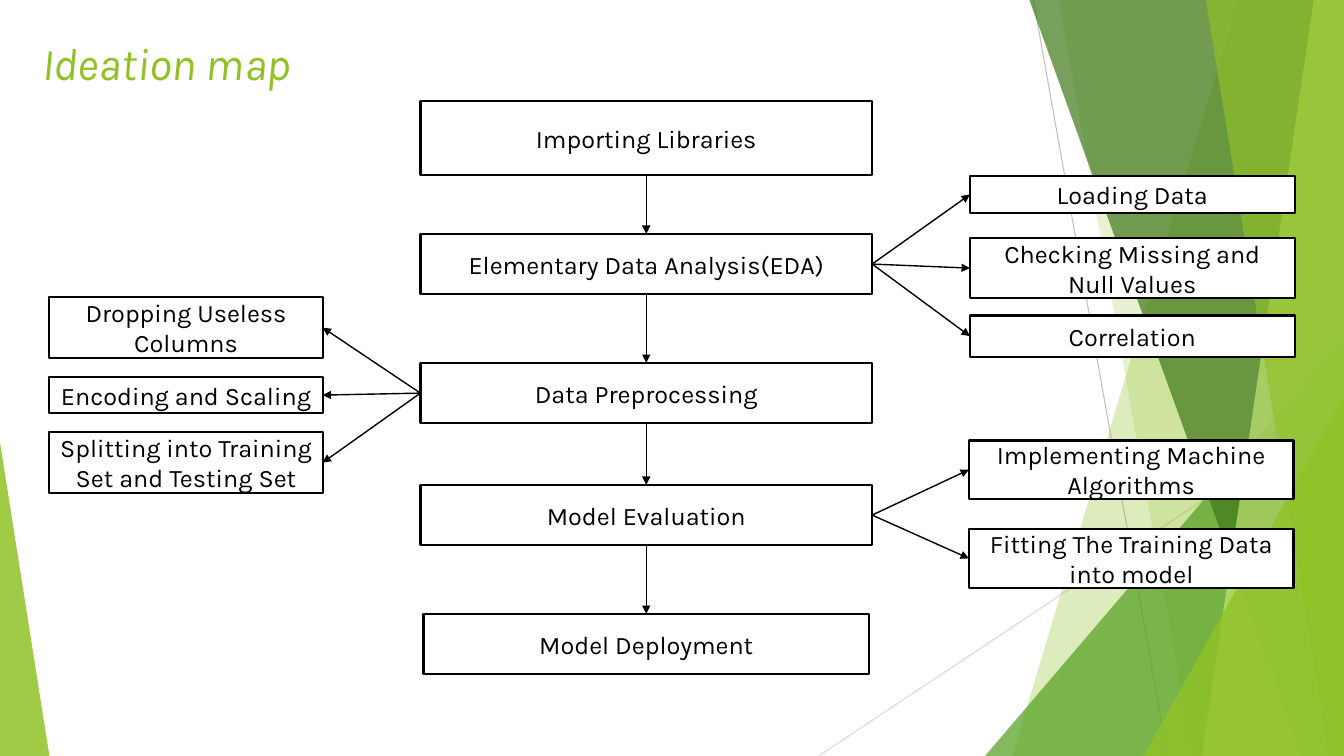
from pptx import Presentation
from pptx import util as u
from pptx.dml.color import RGBColor
from pptx.enum import shapes, text
from pptx.oxml.ns import qn
from lxml import etree

FONT = "Karla"
TOP, LEFT, BOTTOM, RIGHT = range(4)
W, H = 13.33, 7.5

STEPS = [
    ("Importing Libraries", 4.17, 1, 4.48, 0.74),
    ("Elementary Data Analysis(EDA)", 4.17, 2.32, 4.48, 0.6),
    ("Data Preprocessing", 4.17, 3.6, 4.48, 0.6),
    ("Model Evaluation", 4.17, 4.81, 4.48, 0.6),
    ("Model Deployment", 4.2, 6.09, 4.42, 0.6),
]
EDA_TASKS = [
    ("Loading Data", 1.75, 0.36),
    ("Checking Missing and Null Values", 2.36, 0.6),
    ("Correlation", 3.13, 0.41),
]
PREPROCESSING_TASKS = [
    ("Dropping Useless Columns", 2.95, 0.6),
    ("Encoding and Scaling", 3.74, 0.36),
    ("Splitting into Training Set and Testing Set", 4.29, 0.6),
]
EVALUATION_TASKS = [
    ("Implementing Machine Algorithms", 4.37, 0.58),
    ("Fitting The Training Data into model", 5.25, 0.58),
]


def rgb(color):
    """Turn a hex string into a colour."""
    return RGBColor.from_string(color)


def add_line(s, x1, y1, x2, y2, color, width):
    """Draw a straight connector without a shadow."""
    c = s.shapes.add_connector(shapes.MSO_CONNECTOR.STRAIGHT,
                               *map(u.Inches, (x1, y1, x2, y2)))
    c.line.color.rgb = rgb(color)
    c.line.width = u.Pt(width)
    etree.SubElement(c._element.spPr, qn("a:effectLst"))
    return c


def add_arrow(s, source, source_side, target, target_side):
    """Join two boxes with an arrow."""
    c = add_line(s, 0, 0, 1, 1, "000000", 1)
    c.begin_connect(source, source_side)
    c.end_connect(target, target_side)
    etree.SubElement(c.line._get_or_add_ln(), qn("a:tailEnd"), type="triangle")


def tint(sp, color, opacity):
    """Give a shape a see-through fill and no outline."""
    sp.shadow.inherit = False
    sp.line.fill.background()
    sp.fill.solid()
    sp.fill.fore_color.rgb = rgb(color)
    clr = sp._element.spPr.find(qn("a:solidFill")).find(qn("a:srgbClr"))
    etree.SubElement(clr, qn("a:alpha"), val=str(opacity * 1000))


def add_band(s, top_x, bottom_x, color, opacity):
    """Fill from a slanted edge to the right side of the slide."""
    fb = s.shapes.build_freeform(u.Inches(top_x), 0)
    corners = [(W, 0), (W, H), (bottom_x, H)]
    fb.add_line_segments([(u.Inches(x), u.Inches(y)) for x, y in corners])
    tint(fb.convert_to_shape(), color, opacity)


def add_wedge(s, x, y, w, apex, color, opacity):
    """Stand a right triangle on the bottom edge of the slide."""
    sp = s.shapes.add_shape(shapes.MSO_SHAPE.ISOSCELES_TRIANGLE,
                            *map(u.Inches, (x, y, w, H - y)))
    sp.adjustments[0] = apex
    tint(sp, color, opacity)


def add_backdrop(s):
    """Draw the green facets at the slide edges."""
    add_line(s, 10.25, 0, 11.58, H, "BFBFBF", 0.75)
    add_line(s, W, 4.03, 8.12, H, "D9D9D9", 0.75)
    add_band(s, 12.28, 10.04, "90C226", 30)
    add_band(s, 10.5, 11.83, "90C226", 20)
    add_wedge(s, 9.77, 3.33, 3.56, 1, "54A021", 72)
    add_band(s, 10.21, 12.91, "3F7819", 70)
    add_band(s, 13.03, 11.92, "C0E474", 70)
    add_band(s, 11.96, 13.18, "90C226", 65)
    add_wedge(s, 11.34, 3.93, 1.99, 1, "90C226", 80)
    add_wedge(s, 0, 4.39, 0.49, 0, "90C226", 85)


def write(tf, words, size, color):
    """Put one paragraph in a text frame and return it."""
    tf.word_wrap = True
    p = tf.paragraphs[0]
    p.text = words
    p.font.name = FONT
    p.font.size = u.Pt(size)
    p.font.color.rgb = rgb(color)
    return p


def add_title(s, words, x, y, w, h):
    """Write the slide title."""
    tb = s.shapes.add_textbox(*map(u.Inches, (x, y, w, h)))
    write(tb.text_frame, words, 32.4, "90C226").font.italic = True


def add_box(s, words, x, y, w, h):
    """Draw one outlined box with centred text."""
    sp = s.shapes.add_shape(shapes.MSO_SHAPE.RECTANGLE,
                            *map(u.Inches, (x, y, w, h)))
    sp.shadow.inherit = False
    sp.fill.solid()
    sp.fill.fore_color.rgb = rgb("FFFFFF")
    sp.line.color.rgb = rgb("000000")
    sp.line.width = u.Pt(1.5)
    sp.text_frame.vertical_anchor = text.MSO_ANCHOR.MIDDLE
    write(sp.text_frame, words, 18, "000000").alignment = text.PP_ALIGN.CENTER
    return sp


def add_steps(s, steps):
    """Draw the central chain of steps and return its boxes."""
    boxes = [add_box(s, *step) for step in steps]
    for upper, lower in zip(boxes, boxes[1:]):
        add_arrow(s, upper, BOTTOM, lower, TOP)
    return boxes


def add_tasks(s, step, side, tasks, x, w):
    """Fan a step out to a column of tasks on one side."""
    facing = LEFT if side == RIGHT else RIGHT
    for words, y, h in tasks:
        add_arrow(s, step, side, add_box(s, words, x, y, w, h), facing)


def main():
    """Build the ideation map slide."""
    prs = Presentation()
    prs.slide_width, prs.slide_height = u.Inches(W), u.Inches(H)
    s = prs.slides.add_slide(prs.slide_layouts[6])
    add_backdrop(s)
    add_title(s, "Ideation map", 0.32, 0.3, 11.5, 0.63)
    _, eda, preprocessing, evaluation, _ = add_steps(s, STEPS)
    add_tasks(s, eda, RIGHT, EDA_TASKS, 9.62, 3.22)
    add_tasks(s, preprocessing, LEFT, PREPROCESSING_TASKS, 0.49, 2.71)
    add_tasks(s, evaluation, RIGHT, EVALUATION_TASKS, 9.61, 3.22)
    prs.save("out.pptx")


if __name__ == "__main__":
    main()
